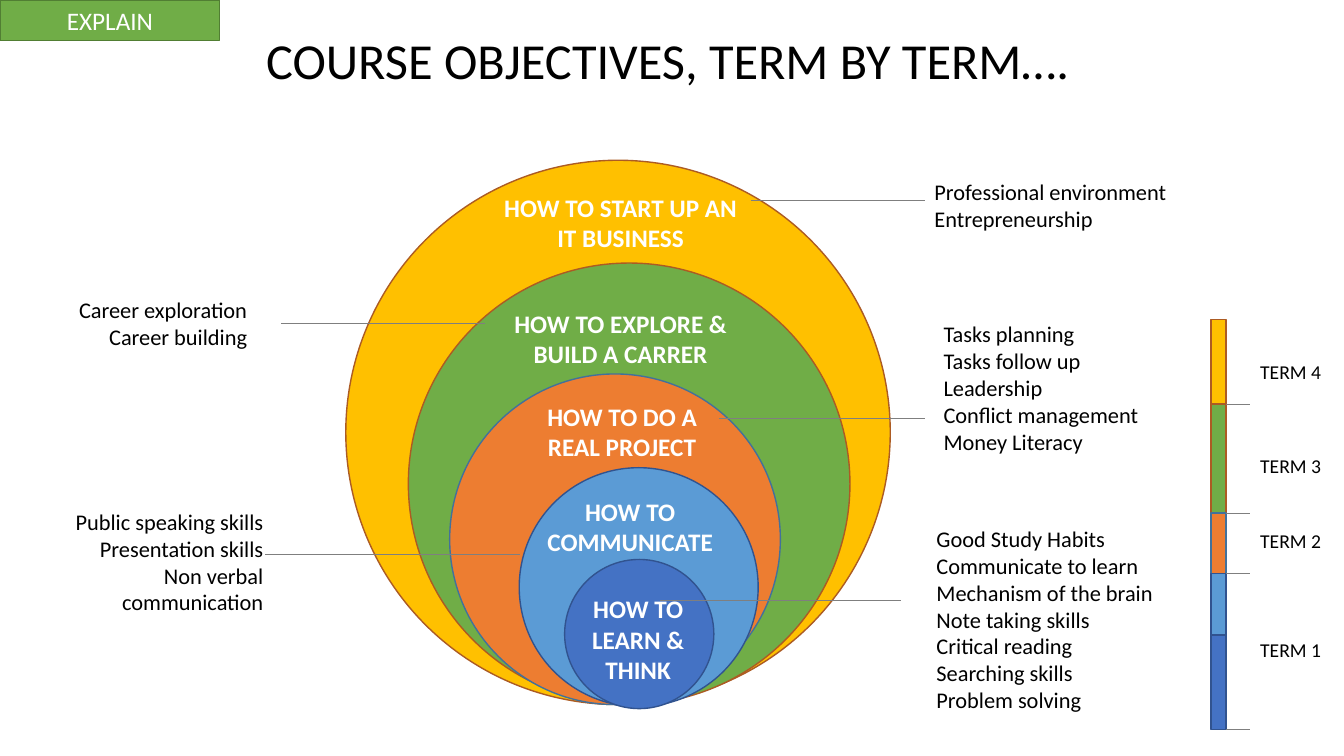
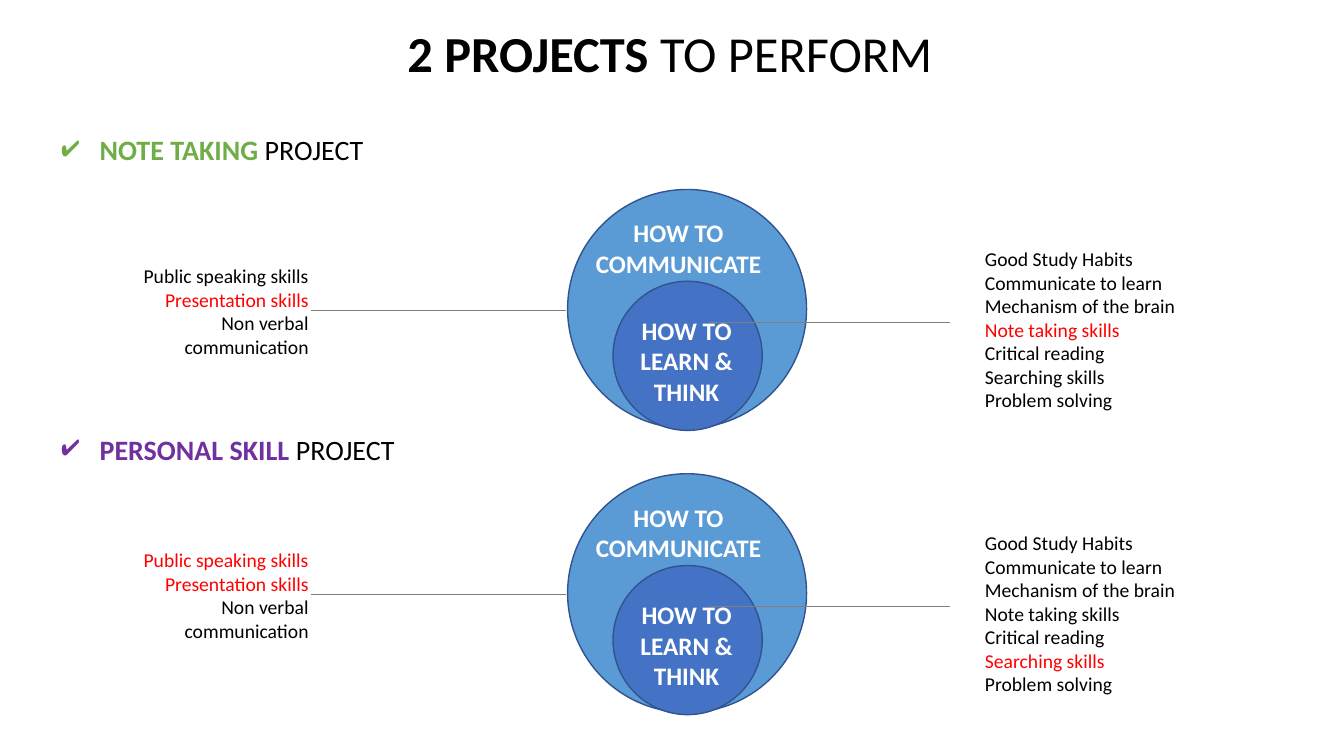
from dataclasses import dataclass

from lxml.etree import SubElement
from pptx import Presentation
from pptx.dml.color import RGBColor
from pptx.enum.shapes import MSO_CONNECTOR as Connector, MSO_SHAPE as Preset
from pptx.enum.text import MSO_ANCHOR as Anchor, MSO_AUTO_SIZE as AutoSize, PP_ALIGN as Align
from pptx.oxml.ns import qn
from pptx.util import Inches, Pt


@dataclass(frozen=True)
class Theme:
    font: str = "Calibri"
    black: str = "000000"
    white: str = "FFFFFF"
    red: str = "FF0000"
    gray: str = "7F7F7F"
    yellow: str = "FFC000"
    green: str = "70AD47"
    orange: str = "ED7D31"
    sky: str = "5B9BD5"
    blue: str = "4472C4"
    purple: str = "7030A0"
    brown_edge: str = "AC5B23"
    steel_edge: str = "42719B"
    navy_edge: str = "31538F"
    green_edge: str = "517E33"
    title: int = 36
    heading: int = 20
    caption: int = 18
    body: int = 16
    small: int = 14
    edge: float = 1
    rule: float = 0.75


THEME = Theme()

# Stages of the course, outermost first: fill and edge
STARTUP = (THEME.yellow, THEME.brown_edge)
CAREER = (THEME.green, THEME.brown_edge)
PROJECT = (THEME.orange, THEME.steel_edge)
COMMUNICATE = (THEME.sky, THEME.navy_edge)
LEARN = (THEME.blue, THEME.navy_edge)

SPEAKING_SKILLS = ["Public speaking skills", "Presentation skills", "Non verbal communication"]
STUDY_SKILLS = ["Good Study Habits", "Communicate to learn", "Mechanism of the brain",
                "Note taking skills", "Critical reading", "Searching skills", "Problem solving"]


def place(left, top, width, height):
    return [Inches(value) for value in (left, top, width, height)]


def add_span(para, text, size, color=THEME.black, bold=False):
    span = para.add_run()
    span.text = text
    span.font.name = THEME.font
    span.font.size = Pt(size)
    span.font.bold = bold
    span.font.color.rgb = RGBColor.from_string(color)


def add_box(page, area):
    box = page.shapes.add_textbox(*place(*area))
    box.text_frame.word_wrap = True
    return box.text_frame


def add_shape(page, preset, area, colors):
    fill, edge = colors
    shape = page.shapes.add_shape(preset, *place(*area))
    shape.shadow.inherit = False
    shape.fill.solid()
    shape.fill.fore_color.rgb = RGBColor.from_string(fill)
    shape.line.color.rgb = RGBColor.from_string(edge)
    shape.line.width = Pt(THEME.edge)
    return shape


def add_circle(page, left, top, diameter, colors):
    add_shape(page, Preset.OVAL, (left, top, diameter, diameter), colors)


def add_rule(page, left, right, y):
    rule = page.shapes.add_connector(
        Connector.STRAIGHT, Inches(left), Inches(y), Inches(right), Inches(y))
    rule.line.color.rgb = RGBColor.from_string(THEME.gray)
    rule.line.width = Pt(THEME.rule)
    SubElement(rule.line._get_or_add_ln().getparent(), qn("a:effectLst"))


def add_title(page, area, spans):
    title = page.shapes.title
    title.left, title.top, title.width, title.height = place(*area)
    frame = title.text_frame
    frame.word_wrap = True
    frame.auto_size = AutoSize.NONE
    frame.vertical_anchor = Anchor.TOP
    para = frame.paragraphs[0]
    para.alignment = Align.LEFT
    for text, bold in spans:
        add_span(para, text, THEME.title, bold=bold)


def add_caption(page, area, text):
    para = add_box(page, area).paragraphs[0]
    para.alignment = Align.CENTER
    add_span(para, text, THEME.caption, THEME.white, bold=True)


def add_list(page, area, items, size=THEME.body, align=Align.LEFT, marked=()):
    frame = add_box(page, area)
    for index, item in enumerate(items):
        para = frame.add_paragraph() if index else frame.paragraphs[0]
        para.alignment = align
        add_span(para, item, size, THEME.red if item in marked else THEME.black)


def add_check_heading(page, area, lead, color):
    para = add_box(page, area).paragraphs[0]
    props = para._p.get_or_add_pPr()
    props.set("marL", str(Inches(0.38)))
    props.set("indent", str(-Inches(0.38)))
    bullet_color = SubElement(props, qn("a:buClr"))
    SubElement(bullet_color, qn("a:srgbClr"), val=color)
    SubElement(props, qn("a:buChar"), char="✔")
    add_span(para, lead + " ", THEME.heading, color, bold=True)
    add_span(para, "PROJECT", THEME.heading)


def add_term_one_circles(page, left, top):
    """Draw the two innermost stages and the rule to the study skills."""
    add_circle(page, left, top, 2.37, COMMUNICATE)
    add_circle(page, left + 0.45, top + 0.91, 1.48, LEARN)
    add_caption(page, (left + 0.35, top + 1.2, 1.66, 1.01), "HOW TO LEARN & THINK")
    add_caption(page, (left + 0.15, top + 0.23, 1.9, 0.71), "HOW TO COMMUNICATE")
    add_rule(page, left + 1.4, left + 3.79, top + 1.32)


def add_term_scale(page):
    left, width, tick = 12.01, 0.15, 0.24
    bounds = [3.17, 4.01, 5.09, 5.69, 6.3, 7.24]
    stages = [STARTUP, CAREER, PROJECT, COMMUNICATE, LEARN]
    for top, bottom, colors in zip(bounds, bounds[1:], stages):
        add_shape(page, Preset.RECTANGLE, (left, top, width, bottom - top), colors)

    # Term 1 spans the last two stages
    term_ends = bounds[1:4] + bounds[5:]
    label_tops = [3.52, 4.45, 5.2, 6.28]
    for number, end, top in zip((4, 3, 2, 1), term_ends, label_tops):
        add_rule(page, left + width, left + width + tick, end)
        add_list(page, (left + width + tick, top, 0.81, 0.34), [f"TERM {number}"], THEME.small)


def build_objectives(page):
    add_title(page, (2.54, 0.24, 8.25, 0.71), [("COURSE OBJECTIVES, TERM BY TERM….", False)])

    # Nested stages
    for left, top, diameter, colors in [
        (3.43, 1.59, 5.4, STARTUP),
        (4.05, 2.61, 4.38, CAREER),
        (4.46, 3.71, 3.28, PROJECT),
    ]:
        add_circle(page, left, top, diameter, colors)
    for area, text in [
        ((4.86, 1.86, 2.59, 0.71), "HOW TO START UP AN IT BUSINESS"),
        ((4.81, 3.01, 2.69, 0.71), "HOW TO EXPLORE & BUILD A CARRER"),
        ((5.16, 3.93, 2.02, 0.71), "HOW TO DO A REAL PROJECT"),
    ]:
        add_caption(page, area, text)
    add_term_one_circles(page, 5.15, 4.64)

    # Skills beside the stages
    for left, right, y in [
        (7.45, 9.17, 1.99), (2.79, 4.81, 3.21), (7.13, 9.17, 4.15), (2.63, 5.16, 5.5),
    ]:
        add_rule(page, left, right, y)
    add_list(page, (9.17, 1.72, 2.53, 0.64), ["Professional environment", "Entrepreneurship"])
    add_list(page, (9.26, 3.13, 2.15, 1.45),
             ["Tasks planning", "Tasks follow up", "Leadership",
              "Conflict management", "Money Literacy"])
    add_list(page, (9.19, 5.16, 2.37, 1.99), STUDY_SKILLS)
    add_list(page, (0.66, 2.89, 1.89, 0.64), ["Career exploration", "Career building"],
             align=Align.RIGHT)
    add_list(page, (0.44, 4.99, 2.27, 1.18), SPEAKING_SKILLS, align=Align.RIGHT)

    add_term_scale(page)

    # Corner tag
    tag = add_shape(page, Preset.RECTANGLE, (0, 0, 2.18, 0.4), (THEME.green, THEME.green_edge))
    tag.text_frame.vertical_anchor = Anchor.MIDDLE
    para = tag.text_frame.paragraphs[0]
    para.alignment = Align.CENTER
    add_span(para, "EXPLAIN", THEME.caption, THEME.white)


def build_projects(page):
    add_title(page, (3.94, 0.17, 5.46, 0.71), [("2 PROJECTS ", True), ("TO PERFORM", False)])

    # One row per project, with the skills it trains in red
    for heading_top, top, lead, color, marked in [
        (1.27, 1.88, "NOTE TAKING", THEME.green,
         ("Presentation skills", "Note taking skills")),
        (4.24, 4.7, "PERSONAL SKILL", THEME.purple,
         ("Public speaking skills", "Presentation skills", "Searching skills")),
    ]:
        add_check_heading(page, (0.51, heading_top, 4.12, 0.44), lead, color)
        add_term_one_circles(page, 5.63, top)
        add_rule(page, 3.08, 5.61, top + 1.2)
        add_list(page, (9.67, top + 0.52, 2.11, 1.75), STUDY_SKILLS, THEME.small, marked=marked)
        add_list(page, (0.89, top + 0.69, 2.27, 1.04), SPEAKING_SKILLS, THEME.small,
                 Align.RIGHT, marked)


def main():
    deck = Presentation()
    deck.slide_width, deck.slide_height = Inches(13.33), Inches(7.5)
    title_only = deck.slide_layouts[5]
    for build in (build_objectives, build_projects):
        build(deck.slides.add_slide(title_only))
    deck.save("out.pptx")


if __name__ == "__main__":
    main()
